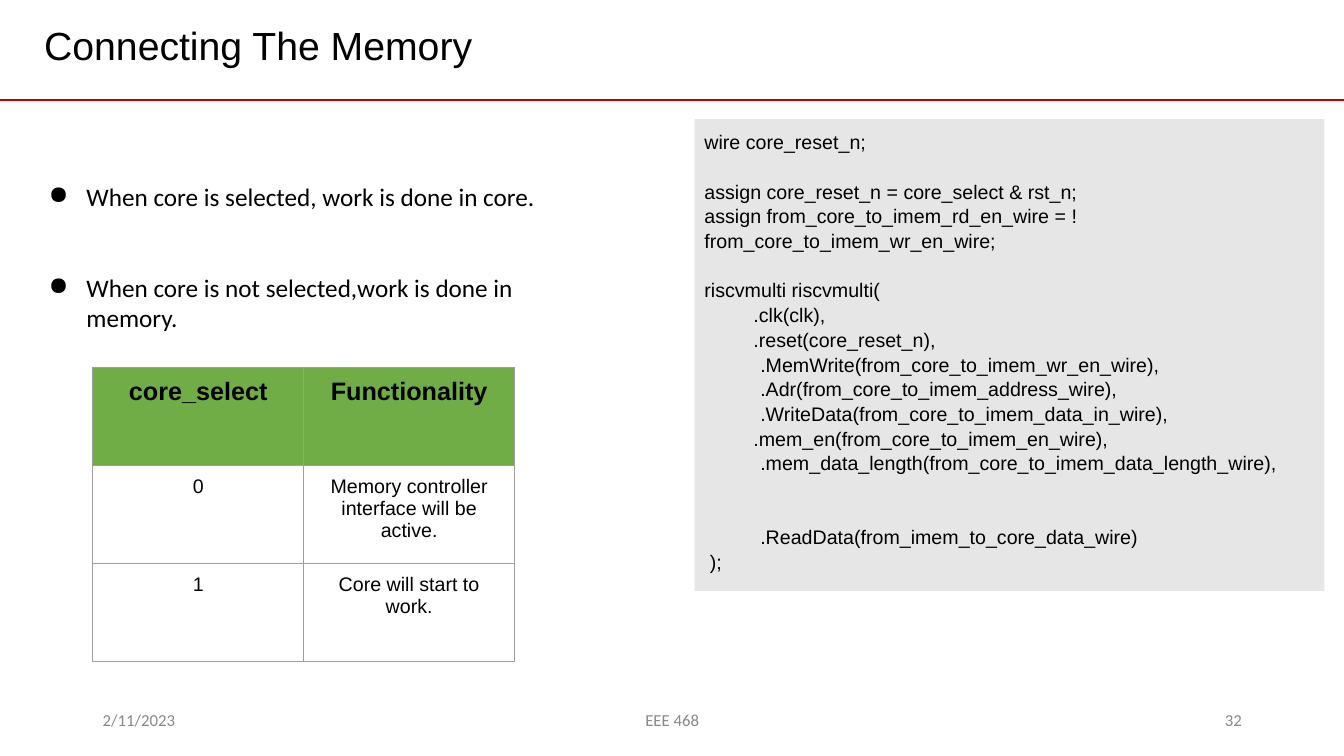
"""Builds the slide on connecting the memory to the core."""
from lxml.etree import SubElement
from pptx import Presentation
from pptx.dml.color import RGBColor
from pptx.enum.shapes import MSO_CONNECTOR, MSO_SHAPE
from pptx.enum.text import MSO_ANCHOR, PP_ALIGN
from pptx.oxml.ns import qn
from pptx.util import Pt

TITLE = "Connecting The Memory"
BULLETS = [
    "When core is selected, work is done in core.",
    "When core is not selected,work is done in memory.",
]
CODE = """wire core_reset_n;

assign core_reset_n = core_select & rst_n;
assign from_core_to_imem_rd_en_wire = !from_core_to_imem_wr_en_wire;

riscvmulti riscvmulti(
         .clk(clk),
         .reset(core_reset_n),
\t .MemWrite(from_core_to_imem_wr_en_wire),
\t .Adr(from_core_to_imem_address_wire),
\t .WriteData(from_core_to_imem_data_in_wire),
         .mem_en(from_core_to_imem_en_wire),
\t .mem_data_length(from_core_to_imem_data_length_wire),


\t .ReadData(from_imem_to_core_data_wire)
 );""".split("\n")
MODES = [
    ("core_select", "Functionality"),
    ("0", "Memory controller interface will be active."),
    ("1", "Core will start to work."),
]
FOOTERS = [
    ("2/11/2023", 66.24, 216, PP_ALIGN.LEFT),
    ("EEE 468", 318.24, 324, PP_ALIGN.CENTER),
    ("32", 678.24, 216, PP_ALIGN.RIGHT),
]
BLACK, GREY, RED = "000000", "888888", "C00000"
CODE_FILL, HEADER_FILL, GRID = "E7E6E6", "70AD47", "9E9E9E"
TITLE_FONT = {"name": "Arial", "size": Pt(28)}
CODE_FONT = {"name": "Arial", "size": Pt(14), "bold": False}
HEADER_FONT = {"name": "Arial", "size": Pt(18), "bold": True}
BULLET_FONT = {"name": "Calibri", "size": Pt(18)}
FOOTER_FONT = {"name": "Calibri", "size": Pt(12)}
INSET = 7.2
COLUMN_WIDTH, ROW_HEIGHT = 150.7, 69.9


def colour(value):
    return RGBColor.from_string(value)


def style(para, font, ink=BLACK, **layout):
    for name, value in font.items():
        setattr(para.font, name, value)
    para.font.color.rgb = colour(ink)
    for name, value in layout.items():
        setattr(para, name, value)


def fill_frame(frame, lines, vertical_inset, anchor=MSO_ANCHOR.TOP):
    settings = {
        "word_wrap": True, "vertical_anchor": anchor,
        "margin_left": Pt(INSET), "margin_right": Pt(INSET),
        "margin_top": Pt(vertical_inset), "margin_bottom": Pt(vertical_inset),
    }
    for name, value in settings.items():
        setattr(frame, name, value)
    frame.text = "\n".join(lines)
    return frame.paragraphs


def add_text(page, area, lines, vertical_inset=3.6, anchor=MSO_ANCHOR.TOP):
    box = page.shapes.add_textbox(*map(Pt, area))
    return fill_frame(box.text_frame, lines, vertical_inset, anchor)


def add_bullet(para):
    properties = para._p.get_or_add_pPr()
    properties.set("marL", str(Pt(36)))
    properties.set("indent", str(Pt(-27)))
    ink = SubElement(properties, qn("a:buClr"))
    SubElement(ink, qn("a:srgbClr"), val=BLACK)
    SubElement(properties, qn("a:buChar"), char="●")


def add_borders(cell):
    properties = cell._tc.get_or_add_tcPr()
    for position, side in enumerate(("lnL", "lnR", "lnT", "lnB")):
        line = properties.makeelement(qn("a:" + side), {"w": str(Pt(0.75))})
        properties.insert(position, line)
        paint = SubElement(line, qn("a:solidFill"))
        SubElement(paint, qn("a:srgbClr"), val=GRID)


def add_rule(page):
    rule = page.shapes.add_connector(
        MSO_CONNECTOR.STRAIGHT, 0, Pt(71.3), Pt(960), Pt(71.3))
    rule.line.color.rgb = colour(RED)
    rule.line.width = Pt(1.5)
    SubElement(rule._element.spPr, qn("a:effectLst"))


def add_code(page):
    panel = page.shapes.add_shape(
        MSO_SHAPE.RECTANGLE, *map(Pt, (496.1, 85, 450, 337)))
    panel.shadow.inherit = False
    panel.fill.solid()
    panel.fill.fore_color.rgb = colour(CODE_FILL)
    panel.line.fill.background()
    for para in fill_frame(panel.text_frame, CODE, INSET):
        style(para, CODE_FONT, alignment=PP_ALIGN.LEFT, line_spacing=1.05)


def add_modes(page):
    rows, columns = len(MODES), len(MODES[0])
    area = (66.24, 262.8, COLUMN_WIDTH * columns, ROW_HEIGHT * rows)
    table = page.shapes.add_table(rows, columns, *map(Pt, area)).table
    table.horz_banding = False
    for column in table.columns:
        column.width = Pt(COLUMN_WIDTH)
    for index, (row, texts) in enumerate(zip(table.rows, MODES)):
        row.height = Pt(ROW_HEIGHT)
        for cell, text in zip(row.cells, texts):
            cell.margin_left = cell.margin_right = Pt(INSET)
            cell.margin_top = cell.margin_bottom = Pt(INSET)
            cell.text = text
            style(cell.text_frame.paragraphs[0],
                  CODE_FONT if index else HEADER_FONT,
                  alignment=PP_ALIGN.CENTER)
            if index:
                cell.fill.background()
            else:
                cell.fill.solid()
                cell.fill.fore_color.rgb = colour(HEADER_FILL)
            add_borders(cell)


def main():
    deck = Presentation()
    deck.slide_width, deck.slide_height = Pt(960), Pt(540)
    page = deck.slides.add_slide(deck.slide_layouts[6])
    for text, left, width, alignment in FOOTERS:
        para = add_text(page, (left, 499.9, width, 28.8), [text],
                        anchor=MSO_ANCHOR.MIDDLE)[0]
        style(para, FOOTER_FONT, GREY, alignment=alignment)
    add_rule(page)
    style(add_text(page, (24.5, 11.5, 618, 59.8), [TITLE])[0], TITLE_FONT)
    add_code(page)
    bullets = add_text(page, (18.7, 122.4, 417.6, 124), BULLETS, INSET)
    for index, para in enumerate(bullets):
        add_bullet(para)
        style(para, BULLET_FONT)
        if index:
            para.space_before = Pt(43.5)
    add_modes(page)
    deck.save("out.pptx")


if __name__ == "__main__":
    main()
